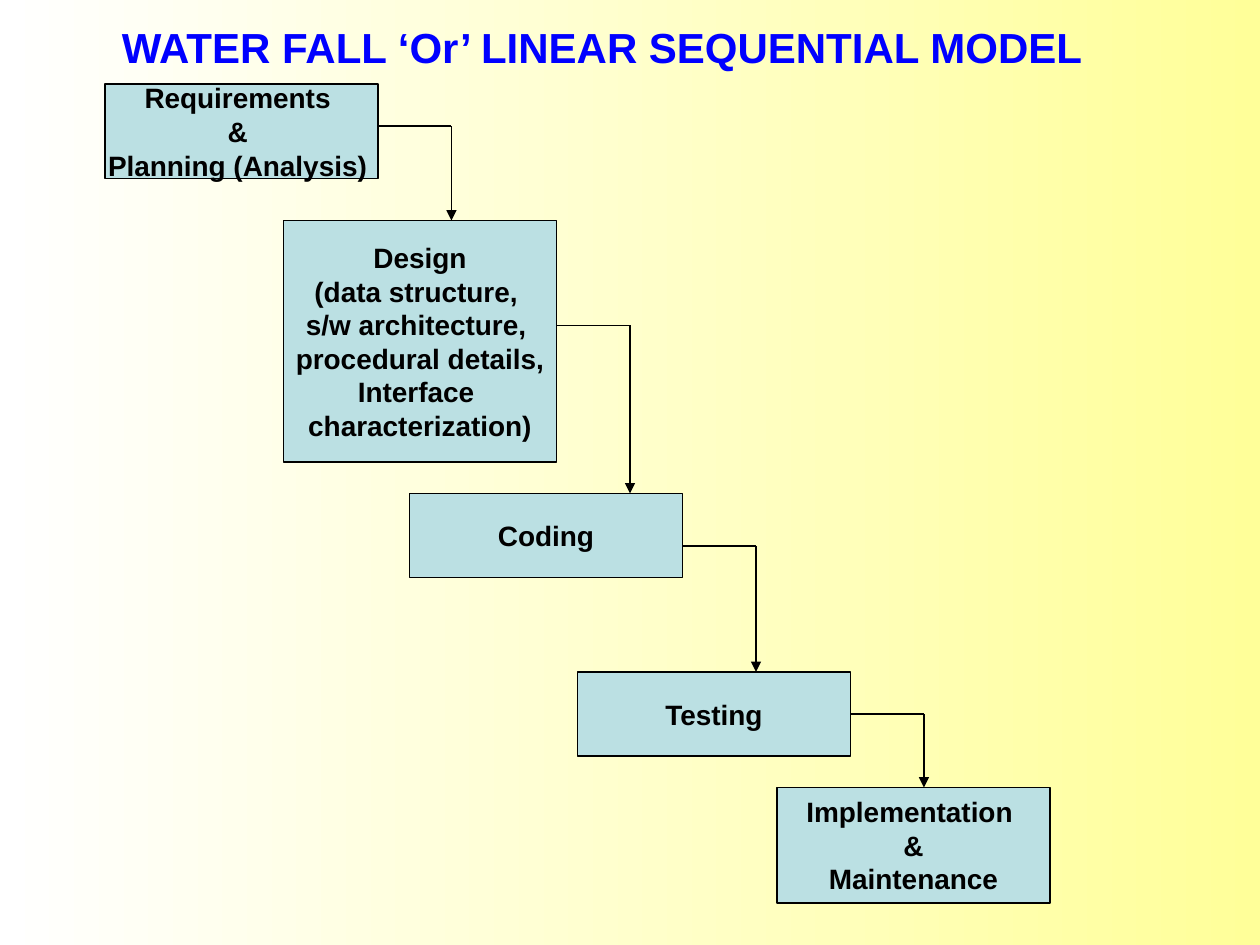
from typing import NamedTuple

from lxml.etree import SubElement
from pptx import Presentation
from pptx.dml.color import RGBColor
from pptx.enum.shapes import MSO_CONNECTOR, MSO_SHAPE
from pptx.enum.text import MSO_ANCHOR, MSO_AUTO_SIZE, PP_ALIGN
from pptx.oxml.ns import qn
from pptx.util import Inches, Pt

COLORS = {
    "box": "BBE0E3",
    "ink": "000000",
    "title": "0000FF",
    "right": "FFFF99",
    "left": "FFFFFF",
}
FONT = "Arial"
BOX_COLS = 26   # width of every phase box
STEP_COLS = 7   # reach of each arrow beyond its box


class Phase(NamedTuple):
    col: int
    row: int
    rows: int
    exit_row: int  # rows below the top at which the arrow leaves
    lines: tuple[str, ...]


PHASES = [
    Phase(10, 8, 9, 4, ("Requirements ", "& ", "Planning (Analysis) ")),
    Phase(27, 21, 23, 10, ("Design", "(data structure, ", "s/w architecture, ",
                           "procedural details,", "Interface ", "characterization)")),
    Phase(39, 47, 8, 5, ("Coding",)),
    Phase(55, 64, 8, 4, ("Testing",)),
    Phase(74, 75, 11, 0, ("Implementation ", "&", "Maintenance")),
]


def grid(units: float) -> int:
    """Length of grid columns or rows, twelve to the inch."""
    return Inches(units / 12)


def rgb(name: str) -> RGBColor:
    return RGBColor.from_string(COLORS[name])


def write(tf, lines: tuple[str, ...], size: int, color: str) -> None:
    tf.text = "\n".join(lines)
    for p in tf.paragraphs:
        p.alignment = PP_ALIGN.CENTER
        for r in p.runs:
            r.font.name, r.font.size, r.font.bold = FONT, Pt(size), True
            r.font.color.rgb = rgb(color)


def outline(line) -> None:
    line.color.rgb = rgb("ink")
    line.width = Pt(0.75)


def draw_box(s, phase: Phase) -> None:
    sp = s.shapes.add_shape(MSO_SHAPE.RECTANGLE, grid(phase.col), grid(phase.row),
                            grid(BOX_COLS), grid(phase.rows))
    sp.shadow.inherit = False
    sp.fill.solid()
    sp.fill.fore_color.rgb = rgb("box")
    outline(sp.line)
    tf = sp.text_frame
    tf.word_wrap = False
    tf.vertical_anchor = MSO_ANCHOR.MIDDLE
    write(tf, phase.lines, 16, "ink")


def draw_line(s, x1: int, y1: int, x2: int, y2: int, arrow: bool = False) -> None:
    line = s.shapes.add_connector(MSO_CONNECTOR.STRAIGHT,
                                  grid(x1), grid(y1), grid(x2), grid(y2))
    outline(line.line)
    if arrow:
        SubElement(line.line._get_or_add_ln(), qn("a:tailEnd"), type="triangle")
    SubElement(line._element.spPr, qn("a:effectLst"))


def draw_step(s, start: Phase, end: Phase) -> None:
    right = start.col + BOX_COLS
    turn = right + STEP_COLS
    y = start.row + start.exit_row
    draw_line(s, right, y, turn, y)
    draw_line(s, turn, y, turn, end.row, arrow=True)


def main() -> None:
    prs = Presentation()
    prs.slide_width, prs.slide_height = Inches(10), Inches(7.5)
    s = prs.slides.add_slide(prs.slide_layouts[6])

    # Background fading from right to left
    fill = s.background.fill
    fill.gradient()
    fill.gradient_angle = 180
    for stop, name, position in zip(fill.gradient_stops, ("right", "left"), (0, 1)):
        stop.color.rgb = rgb(name)
        stop.position = position

    # Phases and the steps between them
    for phase in PHASES:
        draw_box(s, phase)
    for start, end in zip(PHASES, PHASES[1:]):
        draw_step(s, start, end)

    # Title
    title = s.shapes.add_textbox(0, Inches(0.12), Inches(9.56), Inches(0.5))
    tf = title.text_frame
    tf.word_wrap = True
    tf.auto_size = MSO_AUTO_SIZE.SHAPE_TO_FIT_TEXT
    write(tf, ("WATER FALL ‘Or’ LINEAR SEQUENTIAL MODEL",), 24, "title")

    prs.save("out.pptx")


if __name__ == "__main__":
    main()
